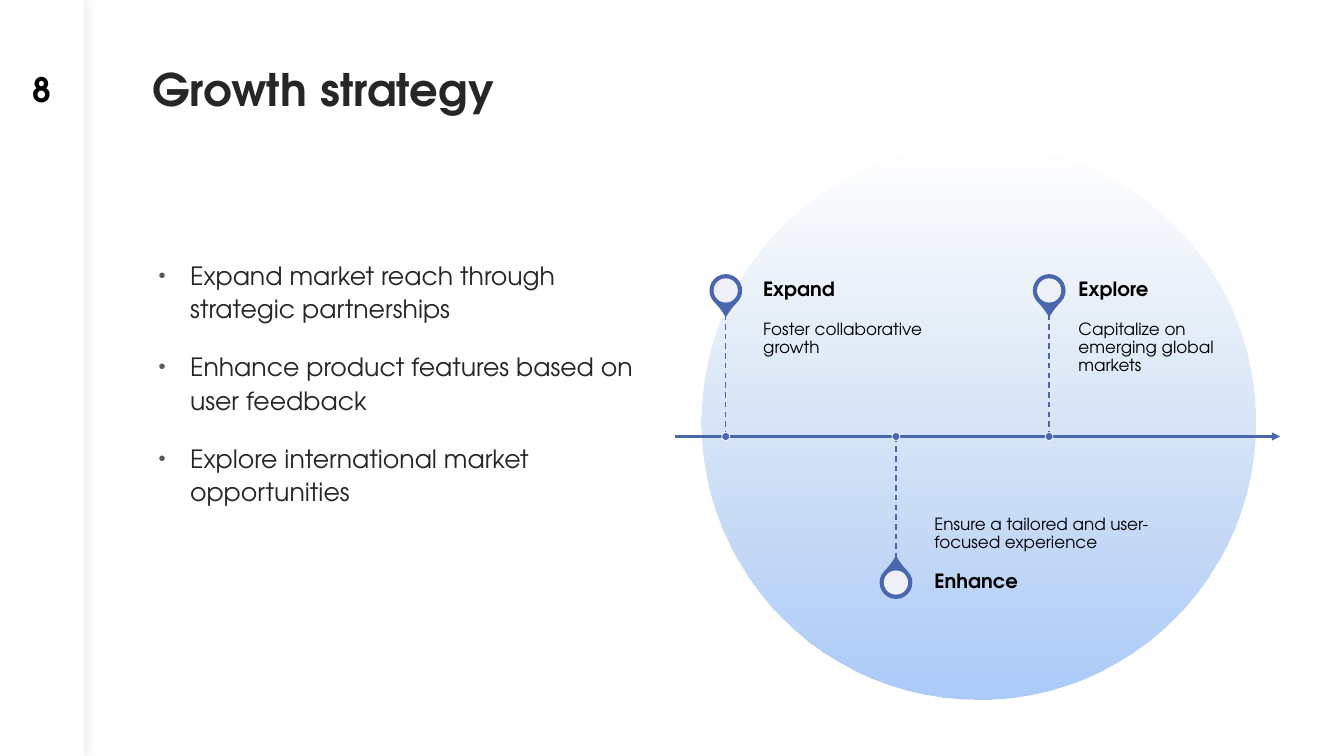
from dataclasses import dataclass

from pptx import Presentation
from pptx.dml.color import RGBColor
from pptx.enum.dml import MSO_LINE
from pptx.enum.shapes import MSO_CONNECTOR, MSO_SHAPE
from pptx.enum.text import MSO_ANCHOR, MSO_AUTO_SIZE, PP_ALIGN
from pptx.oxml.ns import qn
from pptx.shapes.autoshape import Shape
from pptx.shapes.connector import Connector
from pptx.slide import Slide
from pptx.text.text import TextFrame
from pptx.util import Cm, Pt
from lxml.etree import SubElement

FONT = "TeX Gyre Adventor"
BLUE, WHITE, BLACK, DARK, GREY = "4A66AC", "FFFFFF", "000000", "262626", "595959"
AXIS_Y = 11.0
PIN_OFFSET = 3.68
STEM_LENGTH = 3.12
HEADING_HEIGHT = 1.1
BULLETS = [
    "Expand market reach through strategic partnerships",
    "Enhance product features based on user feedback",
    "Explore international market opportunities",
]


@dataclass
class Milestone:
    """One pin on the timeline with its heading and detail."""
    heading: str
    detail: str
    x: float
    text_left: float
    text_width: float
    above: bool


MILESTONES = [
    Milestone("Expand", "Foster collaborative growth", 18.29, 19.23, 5.18, True),
    Milestone("Enhance", "Ensure a tailored and user-focused experience", 22.58, 23.55, 6.35, False),
    Milestone("Explore", "Capitalize on emerging global markets", 26.44, 27.18, 4.98, True),
]


def colour(value: str) -> RGBColor:
    """Turn a hex string into a colour."""
    return RGBColor.from_string(value)


def apply_format(target: object, values: dict) -> None:
    """Set every attribute named in the values."""
    for name, value in values.items():
        setattr(target, name, value)


def write_text(frame: TextFrame, texts: list[str], size: float, text_colour: str, bold: bool = False,
               frame_format: dict | None = None, paragraph_format: dict | None = None) -> None:
    """Fill a text frame with formatted paragraphs."""
    apply_format(frame, {"word_wrap": True, "auto_size": MSO_AUTO_SIZE.NONE,
                         "vertical_anchor": MSO_ANCHOR.TOP} | (frame_format or {}))
    for index, text in enumerate(texts):
        paragraph = frame.add_paragraph() if index else frame.paragraphs[0]
        apply_format(paragraph, {"alignment": PP_ALIGN.LEFT} | (paragraph_format or {}))
        run = paragraph.add_run()
        run.text = text
        apply_format(run.font, {"name": FONT, "size": Pt(size), "bold": bold})
        run.font.color.rgb = colour(text_colour)


def add_text(slide: Slide, box: tuple[float, float, float, float], texts: list[str], size: float,
             text_colour: str = BLACK, bold: bool = False, frame_format: dict | None = None,
             paragraph_format: dict | None = None) -> TextFrame:
    """Add a text box measured in centimetres."""
    frame = slide.shapes.add_textbox(*map(Cm, box)).text_frame
    write_text(frame, texts, size, text_colour, bold, frame_format, paragraph_format)
    return frame


def add_figure(slide: Slide, kind: MSO_SHAPE, box: tuple[float, float, float, float], fill: str,
               line: str | None = None, line_width: float = 1) -> Shape:
    """Add a filled preset shape without a shadow."""
    shape = slide.shapes.add_shape(kind, *map(Cm, box))
    shape.shadow.inherit = False
    shape.fill.solid()
    shape.fill.fore_color.rgb = colour(fill)
    if line:
        shape.line.color.rgb = colour(line)
        shape.line.width = Pt(line_width)
    else:
        shape.line.fill.background()
    return shape


def add_disc(slide: Slide, x: float, y: float, size: float, fill: str,
             line: str | None = None, line_width: float = 1) -> Shape:
    """Add a circle around a centre."""
    box = (x - size / 2, y - size / 2, size, size)
    return add_figure(slide, MSO_SHAPE.OVAL, box, fill, line, line_width)


def add_line(slide: Slide, start: tuple[float, float], end: tuple[float, float], width: float) -> Connector:
    """Add a straight blue line."""
    connector = slide.shapes.add_connector(MSO_CONNECTOR.STRAIGHT, *map(Cm, start + end))
    connector.line.color.rgb = colour(BLUE)
    connector.line.width = Pt(width)
    SubElement(connector.element.spPr, qn("a:effectLst"))
    return connector


def add_backdrop(slide: Slide) -> None:
    """Draw the fading circle and the sidebar with its soft shadow."""
    circle = add_disc(slide, 24.66, 10.64, 13.97, WHITE)
    circle.fill.gradient()
    circle.fill.gradient_angle = 270
    for stop, value in zip(circle.fill.gradient_stops, ("B4CCE7", "ACCBF9")):
        stop.color.rgb = colour(value)
    first_colour = next(circle.element.spPr.iter(qn("a:srgbClr")))
    SubElement(first_colour, qn("a:alpha"), val="0")

    sidebar = add_figure(slide, MSO_SHAPE.RECTANGLE, (0, 0, 2.12, 19.05), WHITE)
    effects = sidebar.element.spPr.find(qn("a:effectLst"))
    shadow = SubElement(effects, qn("a:outerShdw"), blurRad=str(Pt(10)), dist="0", dir="0",
                        algn="ctr", rotWithShape="0")
    shadow_colour = SubElement(shadow, qn("a:srgbClr"), val=BLACK)
    SubElement(shadow_colour, qn("a:alpha"), val="10000")


def add_bullets(slide: Slide) -> None:
    """Write the bulleted list."""
    frame = add_text(slide, (3.63, 6.35, 12.7, 11), BULLETS, 18, DARK,
                     paragraph_format={"line_spacing": 1.1, "space_after": Pt(18)})
    for paragraph in frame.paragraphs:
        properties = paragraph._p.get_or_add_pPr()
        properties.set("marL", str(Cm(0.91)))
        properties.set("indent", str(Cm(-0.79)))
        bullet_colour = SubElement(properties, qn("a:buClr"))
        SubElement(bullet_colour, qn("a:srgbClr"), val=GREY)
        SubElement(properties, qn("a:buSzPct"), val="80000")
        SubElement(properties, qn("a:buFont"), typeface="Arial")
        SubElement(properties, qn("a:buChar"), char="•")


def add_milestone(slide: Slide, milestone: Milestone) -> None:
    """Draw a pin, its stem and its texts."""
    direction = -1 if milestone.above else 1
    pin_y = AXIS_Y + direction * PIN_OFFSET
    pin_size = 0.79
    pin_box = (milestone.x - pin_size / 2, pin_y - pin_size / 2, pin_size, pin_size)
    pin = add_figure(slide, MSO_SHAPE.TEAR, pin_box, BLUE, BLUE)
    pin.adjustments[0] = 1.15
    pin.rotation = 135 if milestone.above else 315
    hole = add_disc(slide, milestone.x, pin_y, 0.61, WHITE)
    SubElement(next(hole.element.spPr.iter(qn("a:srgbClr"))), qn("a:alpha"), val="90000")

    near, far = (0.2, 0.3) if milestone.above else (0.3, 0.2)
    detail_top = AXIS_Y - STEM_LENGTH if milestone.above else AXIS_Y
    add_text(slide, (milestone.text_left, detail_top, milestone.text_width, STEM_LENGTH),
             [milestone.detail], 12, paragraph_format={"line_spacing": 0.9},
             frame_format={"margin_left": 0, "margin_right": Cm(0.2 if milestone.above else 0),
                           "margin_top": Cm(near), "margin_bottom": Cm(far),
                           "vertical_anchor": MSO_ANCHOR.TOP if milestone.above else MSO_ANCHOR.BOTTOM})
    heading_box = (milestone.text_left, pin_y - HEADING_HEIGHT / 2, milestone.text_width, HEADING_HEIGHT)
    add_text(slide, heading_box, [milestone.heading], 14, bold=True,
             paragraph_format={"line_spacing": 0.9},
             frame_format={"margin_left": 0, "margin_top": 0, "margin_bottom": 0,
                           "vertical_anchor": MSO_ANCHOR.MIDDLE})

    stem_end = AXIS_Y + direction * STEM_LENGTH
    stem = add_line(slide, (milestone.x, AXIS_Y), (milestone.x, stem_end), 1)
    stem.line.dash_style = MSO_LINE.DASH
    add_disc(slide, milestone.x, AXIS_Y, 0.2, BLUE, WHITE, 0.5)


def main() -> None:
    """Build and save the slide."""
    presentation = Presentation()
    apply_format(presentation, {"slide_width": Cm(33.87), "slide_height": Cm(19.05)})
    slide = presentation.slides.add_slide(presentation.slide_layouts[5])
    add_backdrop(slide)

    title = slide.shapes.title
    apply_format(title, {"left": Cm(3.58), "top": Cm(1.7), "width": Cm(13.67), "height": Cm(4.01)})
    write_text(title.text_frame, ["Growth strategy"], 32, DARK, True,
               paragraph_format={"line_spacing": 0.8})
    add_text(slide, (0, 1.7, 2.12, 1.07), ["8"], 24, bold=True,
             frame_format={"vertical_anchor": MSO_ANCHOR.MIDDLE},
             paragraph_format={"alignment": PP_ALIGN.CENTER})
    add_bullets(slide)

    axis = add_line(slide, (17.02, AXIS_Y), (32.26, AXIS_Y), 1.5)
    SubElement(axis.line._get_or_add_ln(), qn("a:tailEnd"), type="triangle")
    for milestone in MILESTONES:
        add_milestone(slide, milestone)
    presentation.save("out.pptx")


if __name__ == "__main__":
    main()
